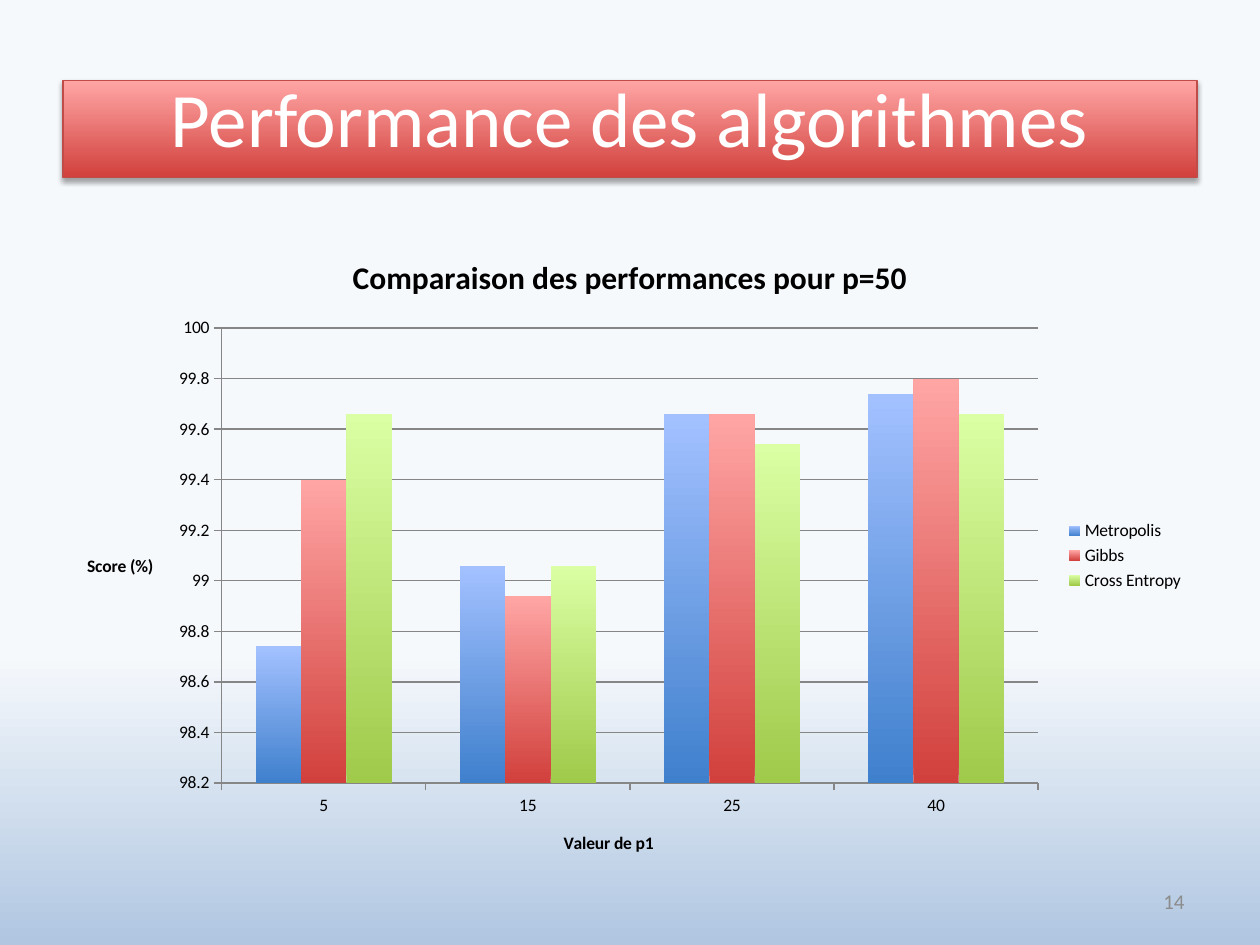
"""Build a slide comparing the scores of three algorithms in a column chart."""
from dataclasses import dataclass

from lxml import etree
from pptx import Presentation
from pptx import util as u
from pptx.chart.data import CategoryChartData
from pptx.dml.color import RGBColor
from pptx.enum import chart as charts, shapes, text
from pptx.oxml import parse_xml
from pptx.oxml.ns import nsdecls, qn

FONT = "Calibri"
WHITE = RGBColor(0xFF, 0xFF, 0xFF)
BLACK = RGBColor(0x00, 0x00, 0x00)
GREY = RGBColor(0x8C, 0x8C, 0x8C)
AXIS_GREY = RGBColor(0x86, 0x86, 0x86)
BANNER_LINE = RGBColor(0xBF, 0x4C, 0x48)
SKY_LIGHT = RGBColor(0xF6, 0xF9, 0xFC)
SKY_DARK = RGBColor(0xB0, 0xC6, 0xE1)
BLUE_DARK = RGBColor(0x3F, 0x80, 0xCD)
BLUE_LIGHT = RGBColor(0xA3, 0xC1, 0xFF)
RED_DARK = RGBColor(0xD1, 0x40, 0x3C)
RED_LIGHT = RGBColor(0xFF, 0xA6, 0xA5)
GREEN_DARK = RGBColor(0x9F, 0xCA, 0x4A)
GREEN_LIGHT = RGBColor(0xDA, 0xFF, 0xA4)


@dataclass
class Series:
    name: str
    values: tuple[float, ...]
    dark: RGBColor
    light: RGBColor


CATEGORIES = ("5", "15", "25", "40")
SERIES = (
    Series("Metropolis", (98.74, 99.06, 99.66, 99.74), BLUE_DARK, BLUE_LIGHT),
    Series("Gibbs", (99.4, 98.94, 99.66, 99.8), RED_DARK, RED_LIGHT),
    Series("Cross Entropy", (99.66, 99.06, 99.54, 99.66), GREEN_DARK, GREEN_LIGHT),
)


def set_values(target, **values) -> None:
    for name, value in values.items():
        setattr(target, name, value)


def format_font(font, size: float, color: RGBColor, bold: bool = False) -> None:
    set_values(font, name=FONT, size=u.Pt(size), bold=bold)
    font.color.rgb = color


def fill_gradient(fill, angle: int, *stops: tuple[float, RGBColor]) -> None:
    fill.gradient()
    fill.gradient_angle = angle
    for stop, (position, color) in zip(fill.gradient_stops, stops):
        stop.position = position
        stop.color.rgb = color


def write_text(frame, content: str, size: float, color: RGBColor, alignment) -> None:
    set_values(frame, word_wrap=True, vertical_anchor=text.MSO_ANCHOR.MIDDLE)
    paragraph = frame.paragraphs[0]
    paragraph.alignment = alignment
    run = paragraph.add_run()
    run.text = content
    format_font(run.font, size, color)


def add_title(slide) -> None:
    title = slide.shapes.title
    set_values(title, left=u.Inches(0.5), top=u.Inches(0.3),
               width=u.Inches(9), height=u.Inches(1.25))
    write_text(title.text_frame, "Performance des algorithmes", 44, WHITE,
               text.PP_ALIGN.CENTER)
    banner = slide.shapes.add_shape(
        shapes.MSO_SHAPE.RECTANGLE,
        u.Inches(0.5), u.Inches(0.64), u.Inches(9), u.Inches(0.77))
    fill_gradient(banner.fill, 90, (0, RED_DARK), (1, RED_LIGHT))
    banner.line.color.rgb = BANNER_LINE
    banner.line.width = u.Pt(0.75)
    banner.element.spPr.append(parse_xml(
        f'<a:effectLst {nsdecls("a")}><a:outerShdw blurRad="{u.Pt(3.1)}" '
        f'dist="{u.Pt(1.8)}" dir="5400000" rotWithShape="0"><a:srgbClr val="000000">'
        '<a:alpha val="35000"/></a:srgbClr></a:outerShdw></a:effectLst>'))
    title.element.addprevious(banner.element)


def write_chart_title(owner, content: str, size: float) -> None:
    frame = (owner.chart_title if hasattr(owner, "chart_title") else owner.axis_title).text_frame
    frame.text = content
    format_font(frame.paragraphs[0].runs[0].font, size, BLACK, bold=True)


def place_plot(chart, x: float, y: float, w: float, h: float) -> None:
    plot_area = chart.element.find(".//" + qn("c:plotArea"))
    for old in plot_area.findall(qn("c:layout")):
        plot_area.remove(old)
    layout = etree.Element(qn("c:layout"))
    manual = etree.SubElement(layout, qn("c:manualLayout"))
    settings = dict(layoutTarget="inner", xMode="edge", yMode="edge", x=x, y=y, w=w, h=h)
    for name, value in settings.items():
        etree.SubElement(manual, qn("c:" + name), val=str(value))
    plot_area.insert(0, layout)


def add_score_chart(slide) -> None:
    data = CategoryChartData()
    data.categories = CATEGORIES
    for series in SERIES:
        data.add_series(series.name, series.values)
    chart = slide.shapes.add_chart(
        charts.XL_CHART_TYPE.COLUMN_CLUSTERED, u.Inches(0.5), u.Inches(1.83),
        u.Inches(9), u.Inches(5.16), data).chart
    format_font(chart.font, 10, BLACK)
    write_chart_title(chart, "Comparaison des performances pour p=50", 18)
    chart.has_legend = True
    set_values(chart.legend, position=charts.XL_LEGEND_POSITION.RIGHT,
               include_in_layout=False)

    plot = chart.plots[0]
    set_values(plot, gap_width=150, overlap=0, vary_by_categories=False)
    for drawn, series in zip(plot.series, SERIES):
        fill_gradient(drawn.format.fill, 90, (0, series.dark), (1, series.light))

    score_axis, p1_axis = chart.value_axis, chart.category_axis
    set_values(score_axis, minimum_scale=98.2, maximum_scale=100, major_unit=0.2,
               has_major_gridlines=True)
    score_axis.major_gridlines.format.line.color.rgb = AXIS_GREY
    for axis, label in ((score_axis, "Score (%)"), (p1_axis, "Valeur de p1")):
        axis.major_tick_mark = charts.XL_TICK_MARK.OUTSIDE
        axis.format.line.color.rgb = AXIS_GREY
        write_chart_title(axis, label, 10)
    body = score_axis.axis_title.element.find(".//" + qn("a:bodyPr"))
    body.set("rot", "0")
    body.set("vert", "horz")
    place_plot(chart, 0.14, 0.15, 0.72, 0.7)


def add_slide_number(slide) -> None:
    box = slide.shapes.add_textbox(
        u.Inches(7.17), u.Inches(6.95), u.Inches(2.33), u.Inches(0.4))
    write_text(box.text_frame, "14", 12, GREY, text.PP_ALIGN.RIGHT)


def main() -> None:
    presentation = Presentation()
    set_values(presentation, slide_width=u.Inches(10), slide_height=u.Inches(7.5))
    slide = presentation.slides.add_slide(presentation.slide_layouts[5])
    fill_gradient(slide.background.fill, 270, (0.69, SKY_LIGHT), (1, SKY_DARK))
    add_title(slide)
    add_score_chart(slide)
    add_slide_number(slide)
    presentation.save("out.pptx")


if __name__ == "__main__":
    main()
